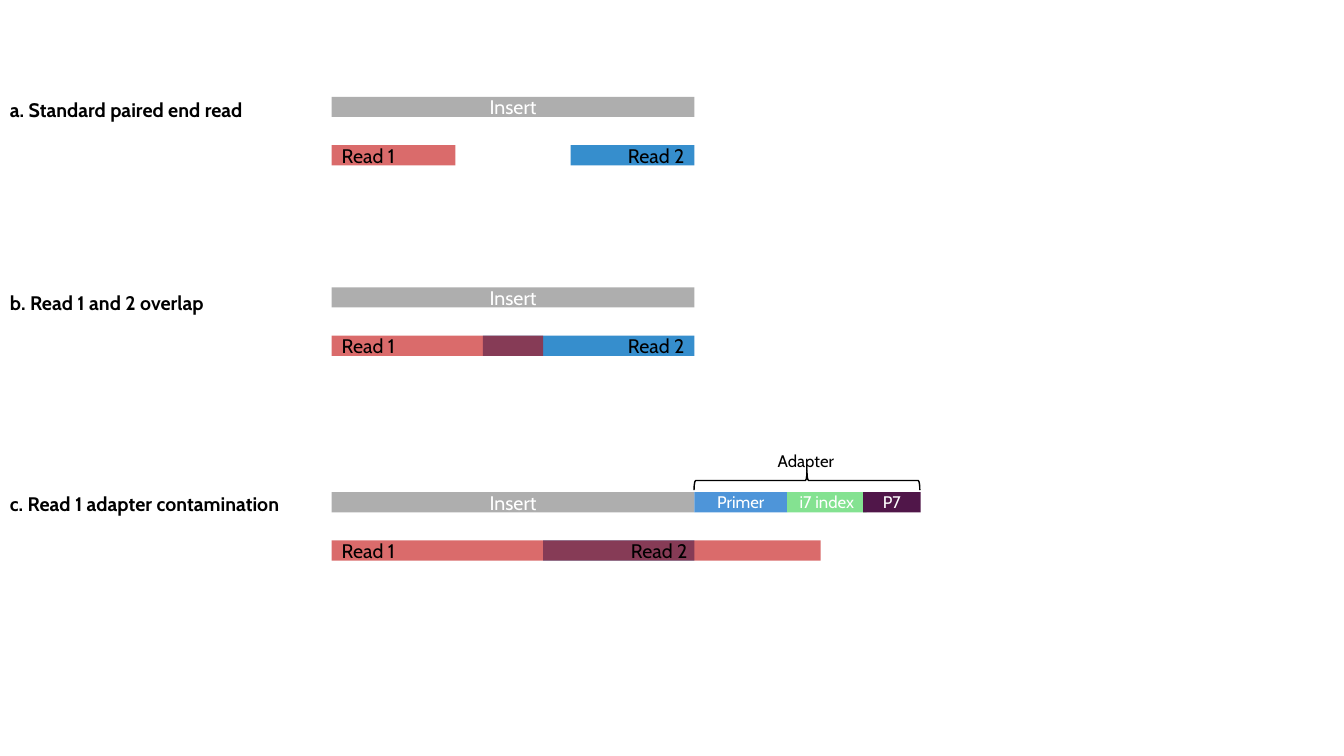
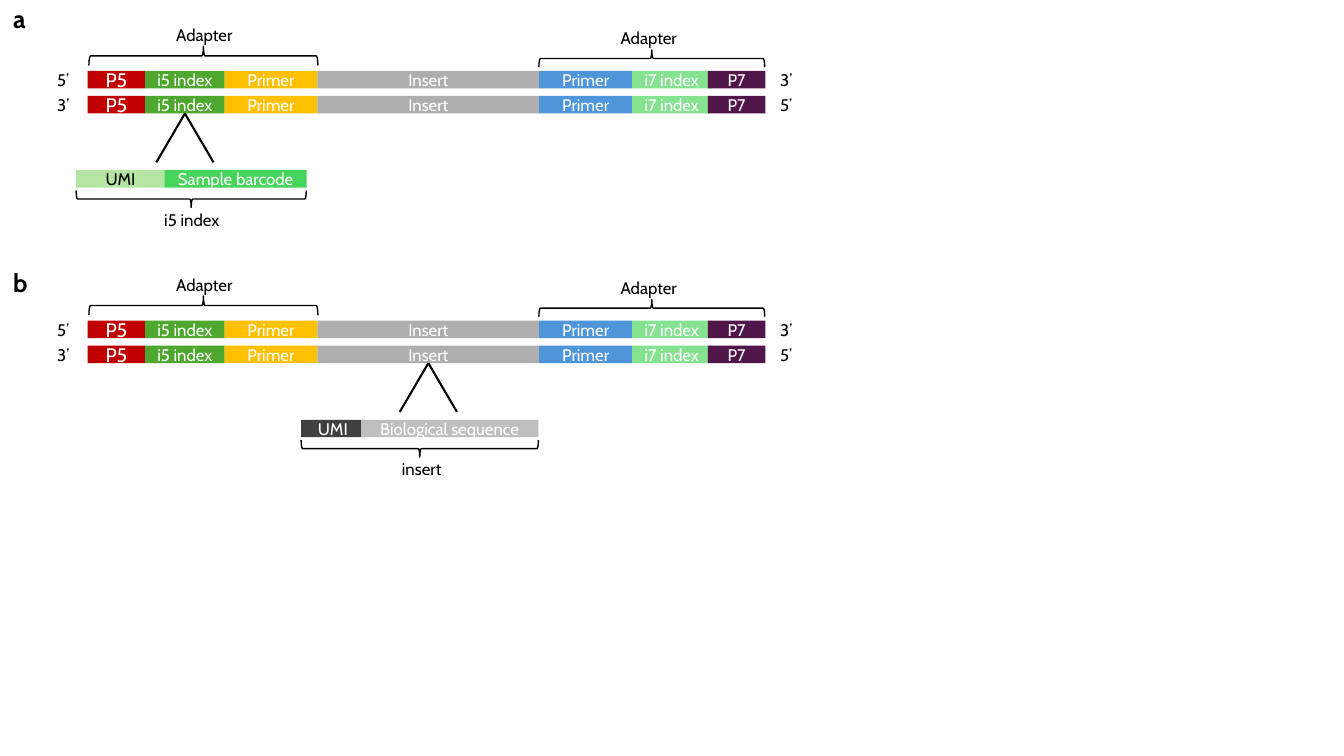
import lxml.etree
import pptx
import pptx.dml.color
import pptx.enum.shapes
import pptx.enum.text
import pptx.oxml.ns
import pptx.util

Cm = pptx.util.Cm
Pt = pptx.util.Pt
RGBColor = pptx.dml.color.RGBColor
ALIGN = pptx.enum.text.PP_ALIGN
SHAPE = pptx.enum.shapes.MSO_SHAPE
qn = pptx.oxml.ns.qn

BLACK = RGBColor(0x00, 0x00, 0x00)
WHITE = RGBColor(0xFF, 0xFF, 0xFF)
GREY = RGBColor(0xAE, 0xAE, 0xAE)
SILVER = RGBColor(0xBF, 0xBF, 0xBF)
COAL = RGBColor(0x40, 0x40, 0x40)
RED = RGBColor(0xC0, 0x00, 0x00)
BLUE = RGBColor(0x00, 0x70, 0xC0)
SKY = RGBColor(0x4E, 0x95, 0xD9)
MINT = RGBColor(0x84, 0xE2, 0x91)
PLUM = RGBColor(0x50, 0x16, 0x49)
GOLD = RGBColor(0xFF, 0xC0, 0x00)
LEAF = RGBColor(0x4E, 0xA7, 0x2E)
LIME = RGBColor(0xB4, 0xE5, 0xA2)
GRASS = RGBColor(0x47, 0xD4, 0x5A)

START, FULL, THICK = 8.36, 9.14, 0.51
THIN, STEP = 0.44, 0.63
P7_SIDE = [("Primer", SKY, 0, 2.34, 12), ("i7 index", MINT, 2.34, 2.0, 12),
           ("P7", PLUM, 4.25, 1.45, 12)]
P5_SIDE = [("P5", RED, 0, 1.45, 14), ("i5 index", LEAF, 1.45, 2.0, 12),
           ("Primer", GOLD, 3.45, 2.34, 12), ("Insert", GREY, 5.79, 5.59, 12)]


class Deck:
    """Holds the shared style and draws on the current slide."""

    font = {"name": "Cabin", "bold": False}

    def __init__(self):
        self.show = pptx.Presentation()
        self.show.slide_width, self.show.slide_height = Cm(33.87), Cm(19.05)

    def start(self):
        self.slide = self.show.slides.add_slide(self.show.slide_layouts[6])

    def words(self, shape, text, size, color, align=ALIGN.LEFT, **more):
        par = shape.text_frame.paragraphs[0]
        par.alignment = align
        run = par.add_run()
        run.text = text
        for key, value in {**self.font, "size": Pt(size), **more}.items():
            setattr(run.font, key, value)
        run.font.color.rgb = color

    def shape(self, kind, left, top, width, height):
        shape = self.slide.shapes.add_shape(
            kind, Cm(left), Cm(top), Cm(width), Cm(height))
        shape.shadow.inherit = False
        return shape

    def bar(self, left, top, width, height, fill, text="", size=12,
            color=WHITE, align=ALIGN.CENTER, alpha=None):
        bar = self.shape(SHAPE.RECTANGLE, left, top, width, height)
        bar.fill.solid()
        bar.fill.fore_color.rgb = fill
        bar.line.fill.background()
        if alpha:
            tint = bar.element.spPr.find(".//" + qn("a:srgbClr"))
            lxml.etree.SubElement(tint, qn("a:alpha"), val=str(alpha * 1000))
        if text:
            self.words(bar, text, size, color, align)
        return bar

    def chain(self, parts, left, top, height):
        return {text: self.bar(left + shift, top, width, height, fill, text, size)
                for text, fill, shift, width, size in parts}

    def label(self, text, left, top, width, size=12, bold=False):
        box = self.slide.shapes.add_textbox(
            Cm(left), Cm(top), Cm(width), Cm(size * 0.06))
        frame = box.text_frame
        frame.word_wrap = False
        frame.auto_size = pptx.enum.text.MSO_AUTO_SIZE.SHAPE_TO_FIT_TEXT
        self.words(box, text, size, BLACK, bold=bold)

    def brace(self, left, top, width, height, turn=90):
        brace = self.shape(SHAPE.LEFT_BRACE, left + (width - height) / 2,
                           top + (height - width) / 2, height, width)
        brace.rotation = turn
        brace.fill.background()
        brace.line.color.rgb = BLACK
        brace.line.width = Pt(1)

    def legs(self, bar, foot):
        mid = bar.left + bar.width // 2
        for side in (-1, 1):
            leg = self.slide.shapes.add_connector(
                pptx.enum.shapes.MSO_CONNECTOR.STRAIGHT, mid,
                bar.top + bar.height, mid + side * Cm(0.72), Cm(foot))
            leg.begin_connect(bar, 2)
            leg.line.color.rgb = BLACK
            leg.line.width = Pt(1.5)
            lxml.etree.SubElement(leg.element.spPr, qn("a:effectLst"))

    def reads(self, title, width, top, high, red, blue, tag="Read 2"):
        self.label(title, 0, high, width, 14, True)
        self.bar(START, top, FULL, THICK, GREY, "Insert", 14)
        low = top + 1.22
        self.bar(START + FULL - blue, low, blue, THICK, BLUE, tag, 14,
                 BLACK, ALIGN.RIGHT, 79)
        self.bar(START, low, red, THICK, RED, "Read 1", 14,
                 BLACK, ALIGN.LEFT, 58)

    def strands(self, letter, high, top, source, zoom, left, width, name, spot, span):
        self.label(letter, 0.08, high, 0.86, 18, True)
        for row, ends in enumerate(("5’3’", "3’5’")):
            line = top + row * STEP
            self.label(ends[:2], 1.19, line - 0.15, 0.86)
            bars = self.chain(P5_SIDE, 2.21, line, THIN)
            self.chain(P7_SIDE, 13.59, line, THIN)
            self.label(ends[2:], 19.41, line - 0.15, 0.86)
        self.brace(2.24, top - 0.62, 5.77, 0.48)
        self.label("Adapter", 4.19, top - 1.28, 1.98)
        self.brace(13.58, top - 0.53, 5.69, 0.43)
        self.label("Adapter", 15.39, top - 1.21, 1.98)
        self.legs(bars[source], top + 2.3)
        for text, fill, color, shift, size in zoom:
            self.bar(left + shift, top + 2.5, size, THIN, fill, text, color=color)
        self.brace(left, top + 3.01, width, 0.43, 270)
        self.label(name, spot, top + 3.36, span)


def main():
    deck = Deck()
    deck.start()
    deck.reads("a. Standard paired end read", 6.76, 2.44, 2.34, 3.12, 3.12)
    deck.reads("b. Read 1 and 2 overlap", 5.72, 7.24, 7.21, 5.33, 5.33)
    deck.reads("c. Read 1 adapter contamination", 8, 12.4, 12.27, 12.32, 3.81, "")
    deck.label("Read 2", 15.65, 13.46, 2, 14)
    deck.chain(P7_SIDE, START + FULL, 12.4, THICK)
    deck.label("Adapter", 19.35, 11.23, 1.98)
    deck.brace(17.49, 11.87, 5.69, 0.48)

    deck.start()
    deck.strands("a", -0.05, 1.79, "i5 index",
                 [("UMI", LIME, BLACK, 0, 2.24),
                  ("Sample barcode", GRASS, WHITE, 2.23, 3.58)],
                 1.92, 5.8, "i5 index", 3.89, 1.93)
    deck.strands("b", 6.6, 8.08, "Insert",
                 [("UMI", COAL, WHITE, 0, 1.6),
                  ("Biological sequence", SILVER, WHITE, 1.51, 4.47)],
                 7.59, 5.98, "insert", 9.88, 1.57)
    deck.show.save("out.pptx")


if __name__ == "__main__":
    main()
